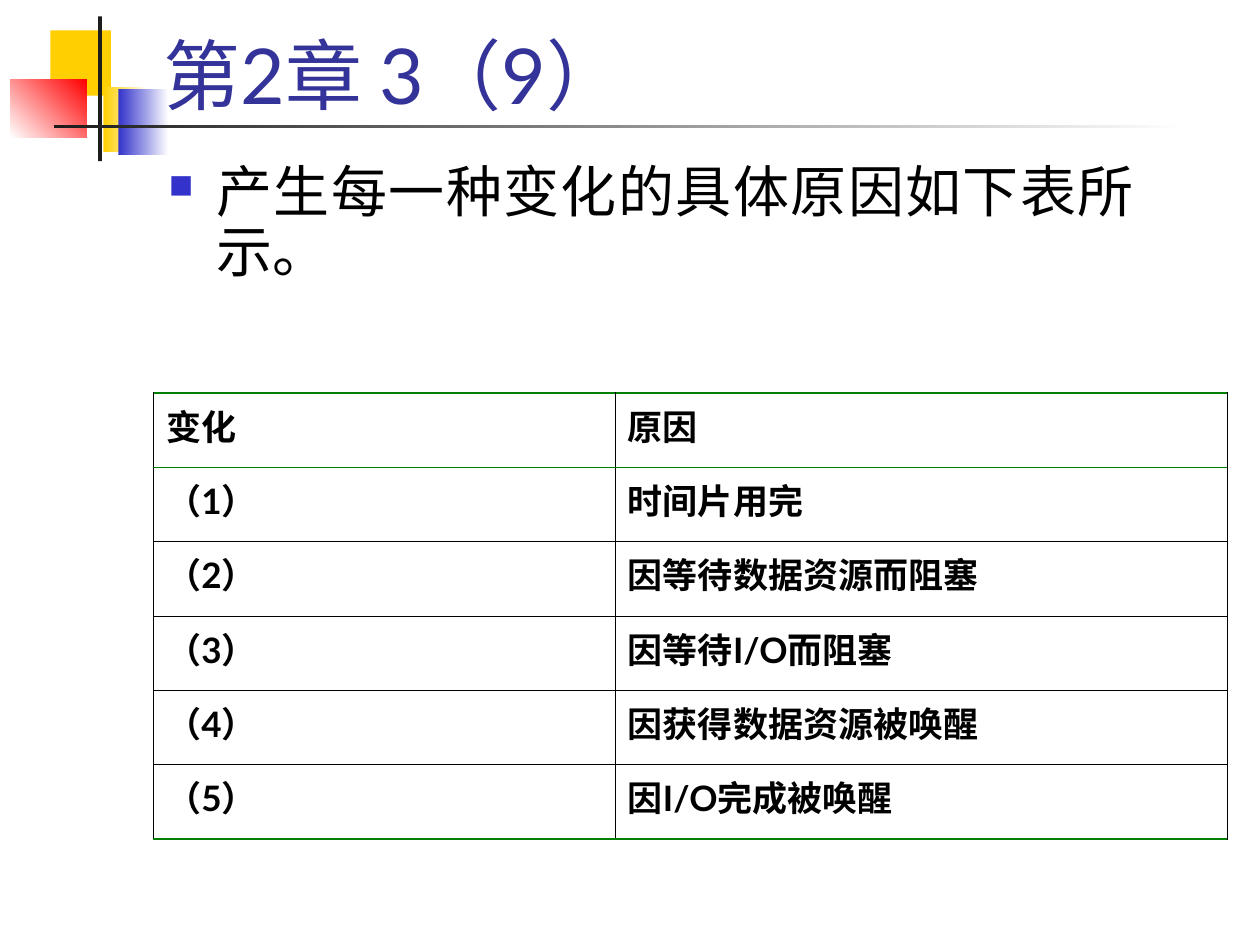
from itertools import groupby
from lxml.etree import SubElement
from pptx import Presentation
from pptx.dml.color import RGBColor
from pptx.enum.shapes import MSO_SHAPE
from pptx.enum.text import MSO_ANCHOR, PP_ALIGN
from pptx.oxml.ns import qn
from pptx.util import Inches, Pt

WIDTH, HEIGHT = Inches(10), Inches(7.5)
COLUMN, ROW = WIDTH / 100, HEIGHT / 75
LATIN, SERIF = "Lato", "Times New Roman"
HANGING = Inches(0.38)

CHANGES = [
    ("变化", "原因"),
    ("（1）", "时间片用完"),
    ("（2）", "因等待数据资源而阻塞"),
    ("（3）", "因等待I/O而阻塞"),
    ("（4）", "因获得数据资源被唤醒"),
    ("（5）", "因I/O完成被唤醒"),
]


def rgb(value):
    """Turn a hex string into a colour."""
    return RGBColor.from_string(value)


def grid(box):
    """Turn columns and rows of the slide grid into lengths."""
    left, top, width, height = box
    return round(left * COLUMN), round(top * ROW), round(width * COLUMN), round(height * ROW)


def style(run, size, font, color="000000", bold=False):
    """Give a run its type."""
    run.font.size, run.font.name, run.font.bold = Pt(size), font, bold
    run.font.color.rgb = rgb(color)


def hang(paragraph):
    """Set a hanging indent and return the paragraph properties."""
    properties = paragraph._p.get_or_add_pPr()
    properties.set("marL", str(HANGING))
    properties.set("indent", str(-HANGING))
    return properties


def add_ornament(slide, box):
    """Draw the overlapping squares and the crossed bars from the box's corner."""
    left, top = box[:2]
    parts = [
        ((3.2, 1.1, 4.8, 5.2), ["FFCF01"], 0),
        ((7.4, 5.6, 3.6, 5.2), ["FFCF01", "FFFFFF"], 0),
        ((8.6, 5.8, 4, 5.2), ["3333CC", "FFFFFF"], 0),
        ((0, 5, 6.1, 4.6), ["FFFFFF", "FF0000"], 45),
        ((7, 0, 0.3, 11.5), ["1C1C1C"], 0),
        ((3.5, 8.6, 90, 0.3), ["1C1C1C", "FFFFFF"], 0),
    ]
    for (x, y, width, height), colors, angle in parts:
        block = slide.shapes.add_shape(
            MSO_SHAPE.RECTANGLE, *grid((left + x, top + y, width, height)))
        block.shadow.inherit = False
        block.line.fill.background()
        if len(colors) == 1:
            block.fill.solid()
            block.fill.fore_color.rgb = rgb(colors[0])
            continue
        block.fill.gradient()
        block.fill.gradient_angle = angle
        for stop, color, position in zip(block.fill.gradient_stops, colors, (0, 1)):
            stop.color.rgb = rgb(color)
            stop.position = position


def add_title(slide, box, wording):
    """Place the slide title on the bottom of its box."""
    frame = slide.shapes.add_textbox(*grid(box)).text_frame
    frame.word_wrap = True
    frame.vertical_anchor = MSO_ANCHOR.BOTTOM
    frame.text = wording
    style(frame.paragraphs[0].runs[0], 44, LATIN, "333399")


def add_statement(slide, box, wording):
    """Place the bulleted sentence."""
    frame = slide.shapes.add_textbox(*grid(box)).text_frame
    frame.word_wrap = True
    frame.text = wording
    sentence = frame.paragraphs[0]
    sentence.alignment = PP_ALIGN.JUSTIFY
    sentence.line_spacing = 0.9
    properties = hang(sentence)
    bullet_color = SubElement(properties, qn("a:buClr"))
    SubElement(bullet_color, qn("a:srgbClr"), val="3333CC")
    SubElement(properties, qn("a:buSzPct"), val="60000")
    SubElement(properties, qn("a:buChar"), char="■")
    style(sentence.runs[0], 32, LATIN)


def set_borders(cell, top, bottom):
    """Draw thin black sides and the given top and bottom lines."""
    properties = cell._tc.get_or_add_tcPr()
    side = ("000000", 0.34)
    edges = zip(("a:lnL", "a:lnR", "a:lnT", "a:lnB"), (side, side, top, bottom))
    for position, (tag, (color, width)) in enumerate(edges):
        line = SubElement(properties, qn(tag), w=str(Pt(width)))
        SubElement(SubElement(line, qn("a:solidFill")), qn("a:srgbClr"), val=color)
        properties.insert(position, line)


def add_changes(slide, box, rows):
    """Build the table of state changes and their causes."""
    left, top, width, height = grid(box)
    table = slide.shapes.add_table(len(rows), 2, left, top, width, height).table
    table.first_row = table.horz_banding = False
    for column, share in zip(table.columns, (0.43, 0.57)):
        column.width = round(width * share)
    rules = [("008000", 0.96), ("008000", 0.45)]
    rules += [("000000", 0.34)] * (len(rows) - 2) + [("008000", 0.96)]
    for r, entries in enumerate(rows):
        for c, entry in enumerate(entries):
            cell = table.cell(r, c)
            cell.fill.background()
            set_borders(cell, rules[r], rules[r + 1])
            paragraph = cell.text_frame.paragraphs[0]
            hang(paragraph)
            for is_latin, letters in groupby(entry, str.isascii):
                run = paragraph.add_run()
                run.text = "".join(letters)
                style(run, 20, LATIN if is_latin else SERIF, bold=True)


def main():
    """Build the slide and save it."""
    deck = Presentation()
    deck.slide_width, deck.slide_height = WIDTH, HEIGHT
    slide = deck.slides.add_slide(deck.slide_layouts[6])
    add_ornament(slide, (0.8, 1.3, 93.5, 11.5))
    add_title(slide, (12, 1.7, 85.2, 8.3), "第2章 3（9）")
    add_statement(slide, (12.4, 12.5, 78.6, 11.6), "产生每一种变化的具体原因如下表所示。")
    add_changes(slide, (12.2, 31.2, 85.2, 35.4), CHANGES)
    deck.save("out.pptx")


if __name__ == "__main__":
    main()
